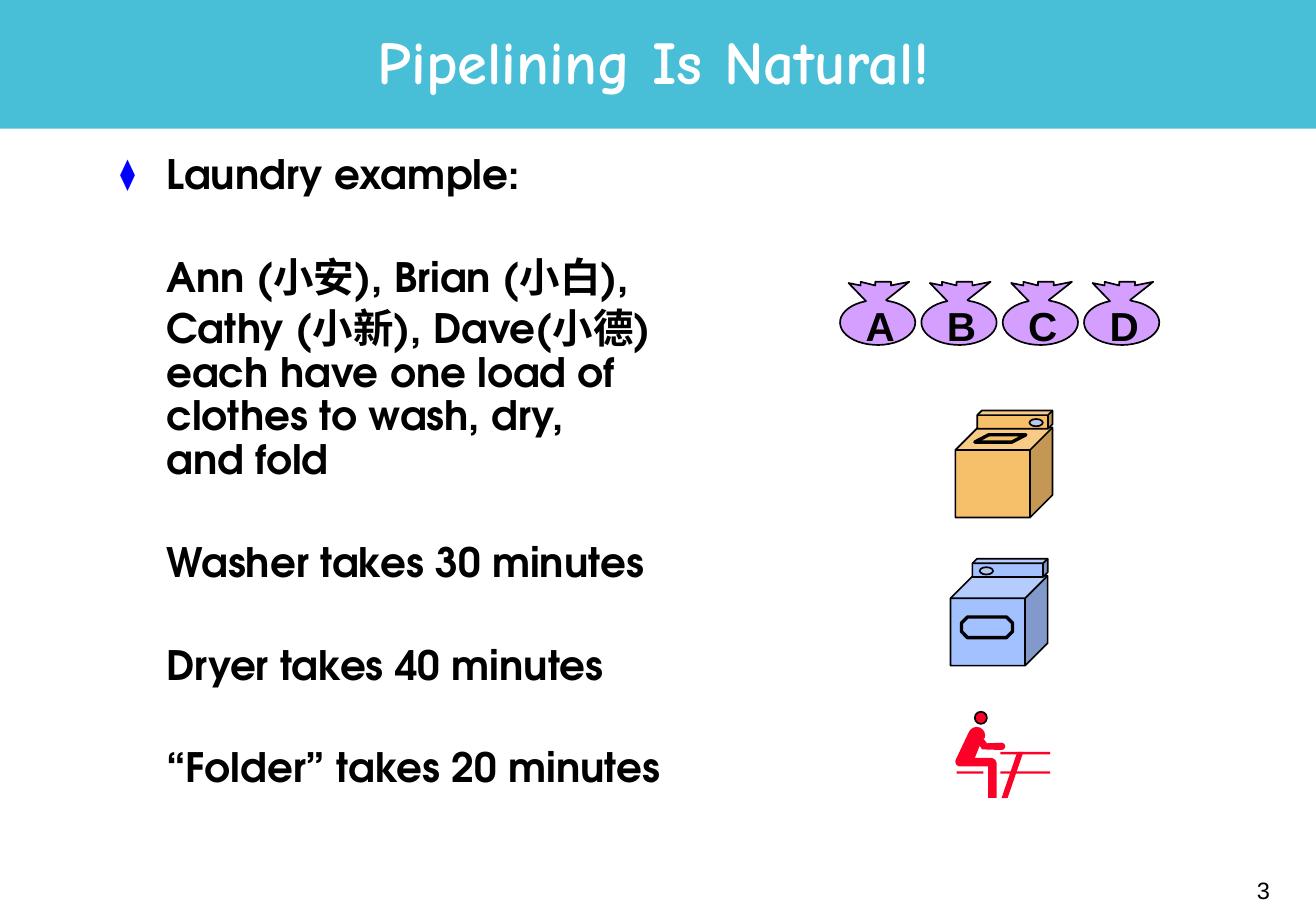
from dataclasses import dataclass
from math import cos, radians, sin

from lxml import etree
from pptx import Presentation
from pptx.dml.color import RGBColor
from pptx.enum.shapes import MSO_SHAPE
from pptx.enum.text import MSO_ANCHOR, MSO_AUTO_SIZE, PP_ALIGN
from pptx.oxml.ns import qn
from pptx.util import Inches, Pt

RECT, OVAL, CUBE = MSO_SHAPE.RECTANGLE, MSO_SHAPE.OVAL, MSO_SHAPE.CUBE
SLANT, OCTAGON = MSO_SHAPE.PARALLELOGRAM, MSO_SHAPE.OCTAGON
LEFT, CENTER, RIGHT = PP_ALIGN.LEFT, PP_ALIGN.CENTER, PP_ALIGN.RIGHT
TOP, MIDDLE = MSO_ANCHOR.TOP, MSO_ANCHOR.MIDDLE
NO_FIT = MSO_AUTO_SIZE.NONE

Point = tuple[float, float]
Box = tuple[float, float, float, float]


@dataclass(frozen=True)
class Theme:
    band: str = "49BFD7"
    white: str = "FFFFFF"
    ink: str = "000000"
    bullet: str = "0000FF"
    bag: str = "D49FFF"
    washer: str = "F6BF69"
    dryer: str = "A2C1FE"
    dial: str = "BAC8F1"
    folder: str = "FC0128"
    head_font: str = "Comic Neue"
    body_font: str = "TeX Gyre Adventor"
    label_font: str = "Arial"
    head_size: int = 36
    body_size: int = 24
    page_size: int = 14


@dataclass(frozen=True)
class Item:
    lines: list[str]
    before: float
    bullet: bool = False


@dataclass(frozen=True)
class Machine:
    left: float
    top: float
    fill: str
    dial: float
    panel: MSO_SHAPE
    place: Box
    adjust: float


THEME = Theme()
HANG = 0.38
GAP, NEAR = 35, 4.5

ITEMS = [
    Item(["Laundry example:"], 0, True),
    Item(["Ann (小安), Brian (小白),"], GAP),
    Item(["Cathy (小新), Dave(小德)", "each have one load of",
          "clothes to wash, dry,", "and fold"], NEAR),
    Item(["Washer takes 30 minutes"], GAP),
    Item(["Dryer takes 40 minutes"], GAP),
    Item(["“Folder” takes 20 minutes"], GAP),
]
MACHINES = [
    Machine(7.83, 4.74, THEME.dryer, 0.24, OCTAGON, (0.09, 0.34, 0.42, 0.17), 0.293),
    Machine(7.87, 3.52, THEME.washer, 0.61, SLANT, (0.16, 0.06, 0.42, 0.06), 1.905),
]
NECK = [(0.07, 0.01), (0.17, 0.03), (0.17, 0), (0.29, 0.03), (0.29, 0),
        (0.42, 0), (0.42, 0.03), (0.57, 0), (0.38, 0.15)]


def arc(x: float, y: float, wide: float, high: float,
        start: int, end: int, steps: int = 8) -> list[Point]:
    turns = [radians(start + (end - start) * i / steps) for i in range(steps + 1)]
    return [(x + wide * cos(t), y + high * sin(t)) for t in turns]


def paint(shape, fill: str, line: float = 0) -> None:
    shape.shadow.inherit = False
    shape.fill.solid()
    shape.fill.fore_color.rgb = RGBColor.from_string(fill)
    if line:
        shape.line.color.rgb = RGBColor.from_string(THEME.ink)
        shape.line.width = Pt(line)
    else:
        shape.line.fill.background()


def draw(slide, kind: MSO_SHAPE, box: Box, fill: str, line: float = 0,
         adjust: float | None = None):
    shape = slide.shapes.add_shape(kind, *map(Inches, box))
    if adjust is not None:
        shape.adjustments[0] = adjust
    paint(shape, fill, line)
    return shape


def outline(slide, points: list[Point], fill: str, line: float = 0) -> None:
    spots = [(Inches(x), Inches(y)) for x, y in points]
    form = slide.shapes.build_freeform(*spots[0])
    form.add_line_segments(spots[1:])
    paint(form.convert_to_shape(), fill, line)


def write(para, text: str, font: str, size: int, color: str, bold: bool = True) -> None:
    run = para.add_run()
    run.text = text
    run.font.name, run.font.size, run.font.bold = font, Pt(size), bold
    run.font.color.rgb = RGBColor.from_string(color)


def frame(shape, box: Box, anchor: MSO_ANCHOR, wrap: bool = True):
    shape.left, shape.top, shape.width, shape.height = map(Inches, box)
    text = shape.text_frame
    text.auto_size, text.word_wrap, text.vertical_anchor = NO_FIT, wrap, anchor
    text.margin_left = text.margin_right = Inches(0.1)
    text.margin_top = text.margin_bottom = Inches(0.05)
    return text


def label(slide, text: str, box: Box, size: int, align: PP_ALIGN,
          anchor: MSO_ANCHOR, bold: bool) -> None:
    shape = slide.shapes.add_textbox(*map(Inches, box))
    para = frame(shape, box, anchor, False).paragraphs[0]
    para.alignment = align
    write(para, text, THEME.label_font, size, THEME.ink, bold)


def mark(para, bullet: bool) -> None:
    props = para._p.get_or_add_pPr()
    props.set("marL", str(Inches(HANG)))
    props.set("indent", str(-Inches(HANG) if bullet else 0))
    if not bullet:
        etree.SubElement(props, qn("a:buNone"))
        return
    color = etree.SubElement(props, qn("a:buClr"))
    etree.SubElement(color, qn("a:srgbClr"), val=THEME.bullet)
    etree.SubElement(props, qn("a:buSzPct"), val="75000")
    etree.SubElement(props, qn("a:buChar"), char="⧫")


def fill_body(shape) -> None:
    text = frame(shape, (0.89, 1.22, 9.21, 5.56), TOP)
    for i, item in enumerate(ITEMS):
        para = text.add_paragraph() if i else text.paragraphs[0]
        mark(para, item.bullet)
        para.alignment, para.line_spacing = LEFT, 0.9
        para.space_before = Pt(item.before)
        for j, line in enumerate(item.lines):
            if j:
                para.add_line_break()
            write(para, line, THEME.body_font, THEME.body_size, THEME.ink)


def draw_machine(slide, unit: Machine) -> None:
    x, y = unit.left, unit.top
    draw(slide, CUBE, (x, y, 0.8, 0.74), unit.fill, 1, 0.25)
    draw(slide, CUBE, (x + 0.18, y - 0.14, 0.62, 0.15), unit.fill, 1, 0.25)
    draw(slide, OVAL, (x + unit.dial, y - 0.07, 0.11, 0.06), THEME.dial, 1)
    left, top, wide, high = unit.place
    draw(slide, unit.panel, (x + left, y + top, wide, high), unit.fill, 2, unit.adjust)


def draw_folder(slide) -> None:
    red = THEME.folder
    outline(slide, [(8.38, 6.19), (8.43, 6.19), (8.3, 6.57), (8.25, 6.57), (8.38, 6.19)], red)
    for x, y, wide in [(8.24, 6.19, 0.41), (8.24, 6.35, 0.41), (7.88, 6.35, 0.22)]:
        draw(slide, RECT, (x, y, wide, 0.02), red)
    draw(slide, OVAL, (8.03, 5.86, 0.1, 0.1), red, 1)
    hip = arc(7.91, 6.27, 0.04, 0.04, 205, 90)
    knee = arc(8.16, 6.29, 0.05, 0.05, 0, -90)
    hand = arc(8.25, 6.145, 0.03, 0.03, 90, -90)
    back = arc(8.045, 6.055, 0.07, 0.07, 20, -155)
    outline(slide, [*hip, (8.14, 6.31), (8.14, 6.57), (8.21, 6.57), *knee, (8.03, 6.24),
                    (8.07, 6.14), (8.09, 6.17), *hand, (8.13, 6.12), (8.1, 6.08),
                    *back, hip[0]], red)


def draw_bags(slide) -> None:
    shape = NECK + arc(0.31, 0.335, 0.31, 0.185, -75, 252, 40) + NECK[:1]
    for i, name in enumerate("ABCD"):
        x, y = 6.92 + 0.67 * i, 2.32
        outline(slide, [(x + a, y + b) for a, b in shape], THEME.bag, 1)
        label(slide, name, (x + 0.11, y + 0.11, 0.44, 0.5), THEME.body_size, CENTER, TOP, True)


def main() -> None:
    deck = Presentation()
    deck.slide_width, deck.slide_height = Inches(10.84), Inches(7.5)
    slide = deck.slides.add_slide(deck.slide_layouts[1])

    # Title band, behind the text
    band = draw(slide, RECT, (0, 0, 10.84, 1.06), THEME.band)
    slide.shapes.element.insert(2, band.element)

    # Title and list
    head = frame(slide.shapes.title, (0.78, 0.05, 9.21, 0.99), MIDDLE).paragraphs[0]
    head.alignment, head.line_spacing = CENTER, 0.85
    write(head, "Pipelining Is Natural!", THEME.head_font, THEME.head_size, THEME.white)
    fill_body(slide.placeholders[1])

    # Laundry drawings
    for unit in MACHINES:
        draw_machine(slide, unit)
    draw_folder(slide)
    draw_bags(slide)

    # Page number
    label(slide, "3", (8.3, 7.08, 2.26, 0.5), THEME.page_size, RIGHT, MIDDLE, False)
    deck.save("out.pptx")


if __name__ == "__main__":
    main()
